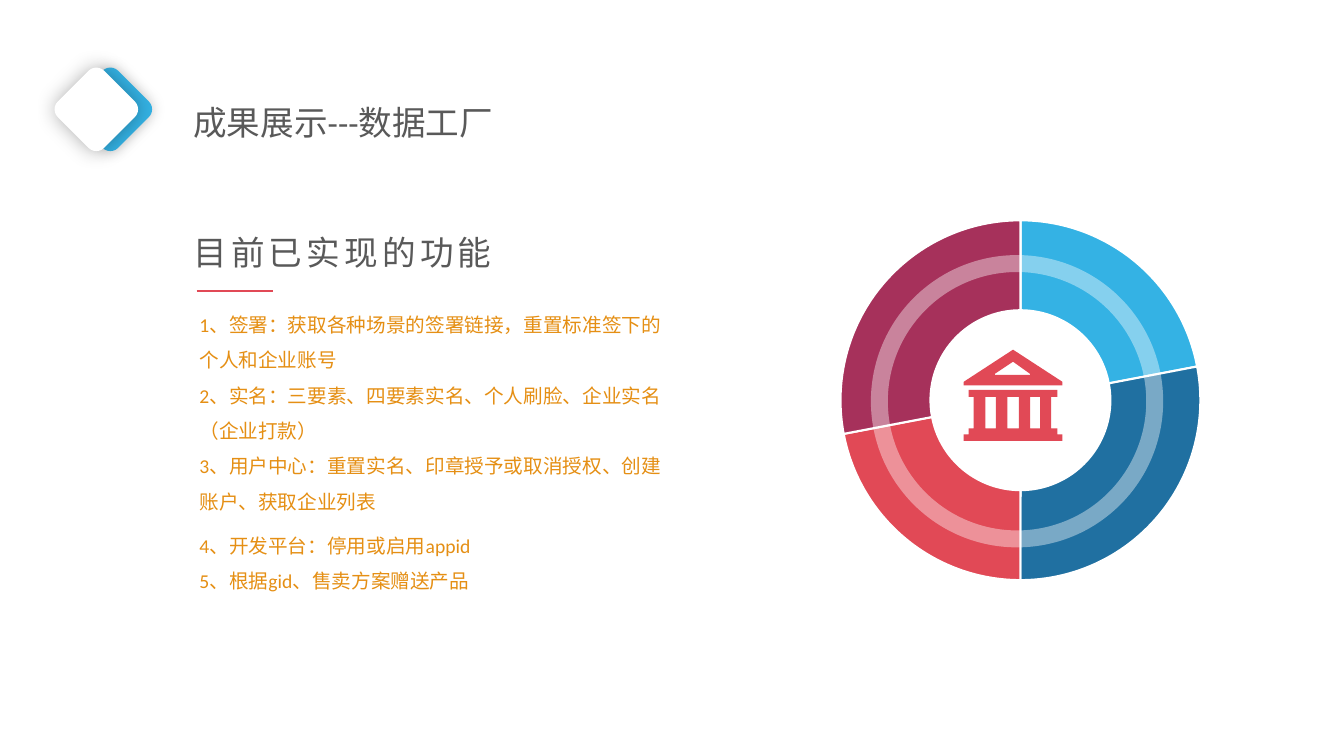
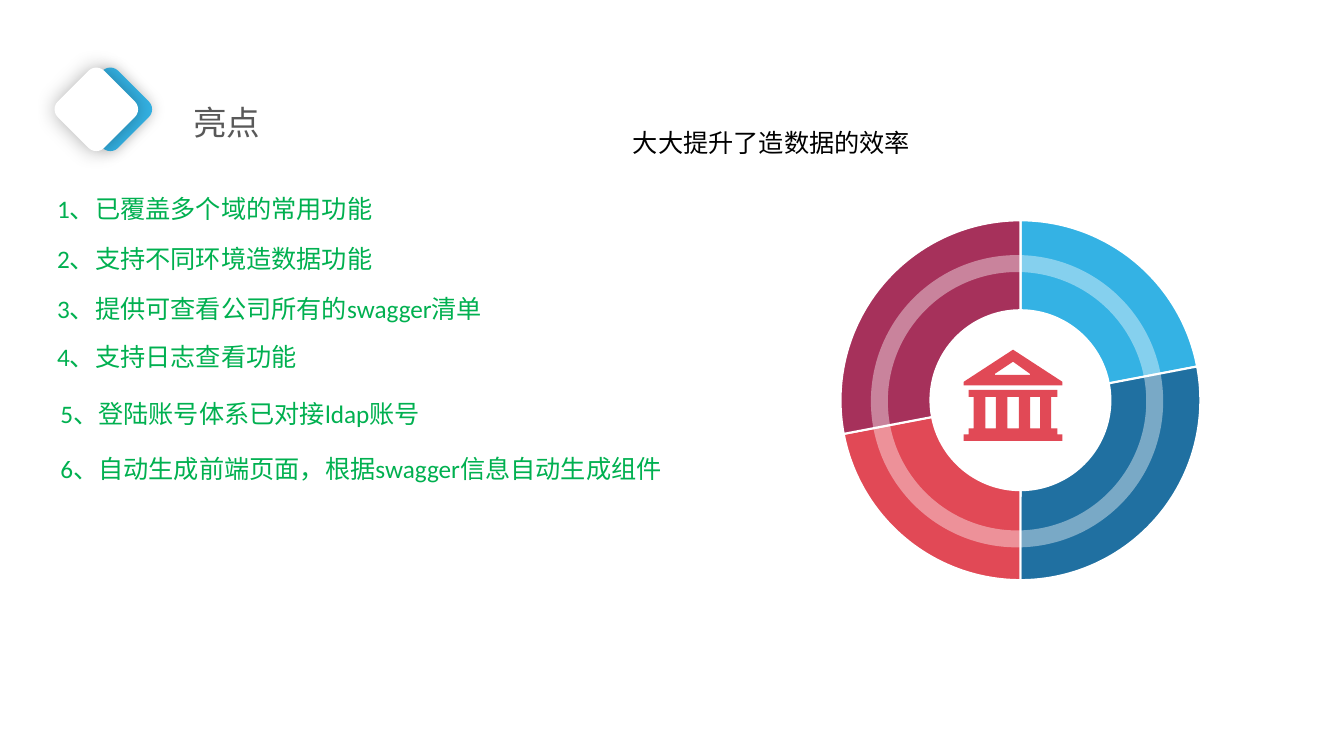
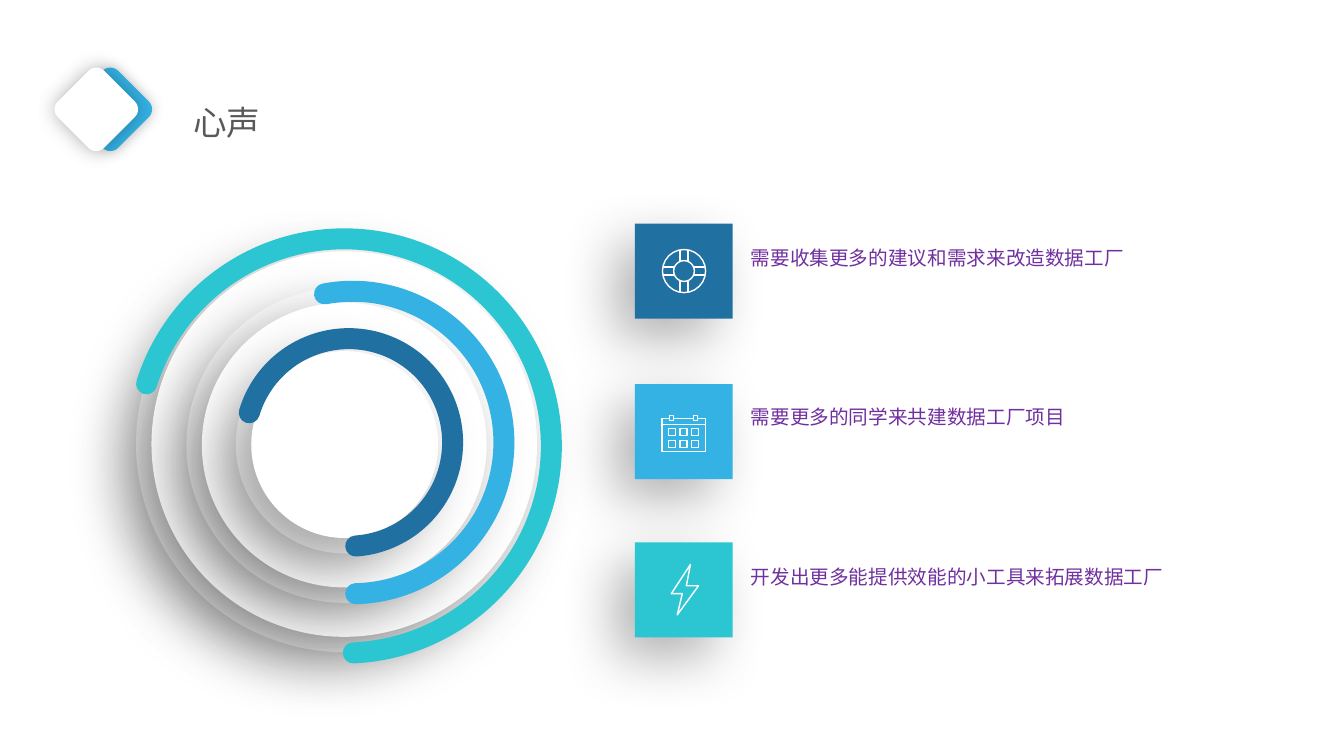
from dataclasses import dataclass
from typing import Any, Callable, Optional

from pptx import Presentation
from pptx.chart.data import CategoryChartData
from pptx.dml.color import RGBColor
from pptx.enum.chart import XL_CHART_TYPE
from pptx.enum.shapes import MSO_CONNECTOR, MSO_SHAPE
from pptx.enum.text import MSO_AUTO_SIZE
from pptx.oxml.ns import qn
from pptx.util import Pt
from lxml.etree import SubElement

FONT = "Calibri"
HUES = {
    "white": "FFFFFF", "black": "000000", "gray": "595959",
    "sky": "34B2E4", "blue": "2070A1", "red": "E14956", "plum": "A6315B",
    "teal": "2CC6D2", "gold": "E58F14", "green": "00B050", "grape": "7030A0",
}


@dataclass(frozen=True)
class Box:
    x: float
    y: float
    w: float
    h: float

    def pts(self) -> list[Any]:
        return [Pt(v) for v in (self.x, self.y, self.w, self.h)]


@dataclass(frozen=True)
class Style:
    size: float
    hue: str
    lead: Optional[float] = None
    track: int = 0
    wrap: bool = True


@dataclass(frozen=True)
class Shade:
    alpha: int
    blur: float
    dist: float = 0
    angle: int = 0


@dataclass(frozen=True)
class Arc:
    box: Box
    start: float
    end: float
    hue: str


@dataclass(frozen=True)
class Tile:
    top: float
    hue: str
    icon: Callable[[Any, float, float], None]
    text: str
    text_top: float


HEAD = Style(24, "gray", 1.5)
LEAD = Style(24, "gray", 1.5, track=300)
BODY = Style(14, "gold", 1.5)
ITEM = Style(18, "green")
NOTE = Style(18, "black", wrap=False)
VOICE = Style(14, "grape", 1.5)
DEEP = Shade(30, 40, 20, 135)


# Basic parts
def color(name: str) -> RGBColor:
    return RGBColor.from_string(HUES[name])


def paint(shape: Any, fill: Optional[str], line: Optional[str] = None,
          width: float = 1, alpha: int = 100, shade: Optional[Shade] = None) -> None:
    shape.shadow.inherit = False
    if fill:
        shape.fill.solid()
        shape.fill.fore_color.rgb = color(fill)
        if alpha < 100:
            tint = shape._element.spPr.find(qn("a:solidFill")).find(qn("a:srgbClr"))
            SubElement(tint, qn("a:alpha")).set("val", str(alpha * 1000))
    else:
        shape.fill.background()
    if line:
        shape.line.color.rgb = color(line)
        shape.line.width = Pt(width)
    else:
        shape.line.fill.background()
    if shade:
        cast = SubElement(shape._element.spPr.find(qn("a:effectLst")), qn("a:outerShdw"),
                          blurRad=str(Pt(shade.blur)), dist=str(Pt(shade.dist)),
                          dir=str(shade.angle * 60000), rotWithShape="0")
        ink = SubElement(cast, qn("a:srgbClr"), val=HUES["black"])
        SubElement(ink, qn("a:alpha"), val=str(shade.alpha * 1000))


def add_form(shapes: Any, kind: MSO_SHAPE, box: Box, fill: Optional[str], **look: Any) -> Any:
    shape = shapes.add_shape(kind, *box.pts())
    paint(shape, fill, **look)
    return shape


def add_line(shapes: Any, x1: float, y1: float, x2: float, y2: float,
             hue: str = "white", width: float = 1) -> None:
    line = shapes.add_connector(MSO_CONNECTOR.STRAIGHT, Pt(x1), Pt(y1), Pt(x2), Pt(y2))
    line.line.color.rgb = color(hue)
    line.line.width = Pt(width)
    SubElement(line._element.spPr, qn("a:effectLst"))


def add_free(shapes: Any, x: float, y: float, loops: list[list[tuple[float, float]]],
             close: bool = True) -> Any:
    loops = [[(Pt(x + a), Pt(y + b)) for a, b in loop] for loop in loops]
    pen = shapes.build_freeform(*loops[0][0])
    for i, loop in enumerate(loops):
        if i:
            pen.move_to(*loop[0])
        pen.add_line_segments(loop[1:], close=close)
    return pen.convert_to_shape()


def add_text(slide: Any, box: Box, lines: list[str], style: Style) -> None:
    frame = slide.shapes.add_textbox(*box.pts()).text_frame
    frame.word_wrap = style.wrap
    frame.auto_size = MSO_AUTO_SIZE.SHAPE_TO_FIT_TEXT
    for i, line in enumerate(lines):
        para = frame.add_paragraph() if i else frame.paragraphs[0]
        if style.lead:
            para.line_spacing = style.lead
        run = para.add_run()
        run.text = line
        run.font.name = FONT
        run.font.size = Pt(style.size)
        run.font.color.rgb = color(style.hue)
        if style.track:
            run._r.get_or_add_rPr().set("spc", str(style.track))


# Shared slide parts
def add_slide(deck: Any, title: str, width: float) -> Any:
    slide = deck.slides.add_slide(deck.slide_layouts[6])
    add_text(slide, Box(131, 54.7, width, 46), [title], HEAD)
    for x, hue, shade in ((55.4, "sky", Shade(20, 10)), (45.4, "white", Shade(30, 15))):
        gem = add_form(slide.shapes, MSO_SHAPE.ROUNDED_RECTANGLE,
                       Box(x, 54.7, 46.8, 46.8), hue, shade=shade)
        gem.rotation = 45
    return slide


def add_wheel(slide: Any) -> None:
    data = CategoryChartData()
    data.categories = ["1", "2", "3", "4"]
    data.add_series("Series 1", (22, 28, 22, 28))
    chart = slide.shapes.add_chart(XL_CHART_TYPE.DOUGHNUT,
                                   *Box(566.6, 146.2, 324.7, 279.4).pts(), data).chart
    chart.has_legend = chart.has_title = False
    chart.font.name = FONT
    chart.font.size = Pt(10)
    chart.font.color.rgb = color("black")
    plot = chart.plots[0]
    plot.vary_by_categories = True
    plot._element.find(qn("c:holeSize")).set("val", "75")
    for i, hue in enumerate(("sky", "blue", "red", "plum")):
        part = plot.series[0].points[i].format
        part.fill.solid()
        part.fill.fore_color.rgb = color(hue)
        part.line.color.rgb = color("white")
        part.line.width = Pt(1.5)
    # Plot place inside the chart frame
    area = chart._chartSpace.chart.plotArea
    for old in area.findall(qn("c:layout")):
        area.remove(old)
    lay = SubElement(area, qn("c:layout"))
    area.insert(0, lay)
    hand = SubElement(lay, qn("c:manualLayout"))
    for tag, val in (("layoutTarget", "inner"), ("xMode", "edge"), ("yMode", "edge"),
                     ("x", "0.1"), ("y", "0.04"), ("w", "0.8"), ("h", "0.92")):
        SubElement(hand, qn("c:" + tag), val=val)
    # Pale ring and bank icon
    ring = add_form(slide.shapes, MSO_SHAPE.DONUT,
                    Box(622.1, 182.2, 208.8, 208.8), "white", alpha=40)
    ring.adjustments[0] = 0.058
    base = [(67, 56.2), (62.6, 56.2), (62.6, 33.8), (67, 33.8), (67, 28.8), (3.6, 28.8),
            (3.6, 33.8), (7.2, 33.8), (7.2, 56.2), (3.6, 56.2), (3.6, 60.5), (0, 60.5),
            (0, 65.2), (70.6, 65.2), (70.6, 60.5), (67, 60.5)]
    gaps = [[(b, 56.2), (a, 56.2), (a, 33.8), (b, 33.8)]
            for a, b in ((15.5, 23), (31.2, 39.4), (47.5, 54.7))]
    roof = [(35.3, 0), (0, 23), (0, 25.5), (70.6, 25.5), (70.6, 23)]
    hole = [(47.5, 18), (22.3, 18), (22.3, 17.3), (35.3, 8.6), (47.5, 17.3)]
    paint(add_free(slide.shapes, 688.3, 249.8, [base, *gaps, roof, hole]), "red")


# Tile icons, placed from the corner of the tile
def draw_buoy(shapes: Any, x: float, y: float) -> None:
    x, y = x + 35, y + 33.8
    for r in (15.4, 7.4):
        add_form(shapes, MSO_SHAPE.OVAL, Box(x - r, y - r, 2 * r, 2 * r), None, line="white")
    for side in (-1, 1):
        for off in (-2.9, 2.9):
            add_line(shapes, x + off, y + side * 6.6, x + off, y + side * 15.1)
            add_line(shapes, x + side * 6.8, y + off, x + side * 15.1, y + off)


def draw_dates(shapes: Any, x: float, y: float) -> None:
    add_line(shapes, x + 27.4, y + 24.5, x + 41.8, y + 24.5)
    edge = [(24.5, 24.5), (19.4, 24.5), (19.4, 48.2), (50.4, 48.2), (50.4, 24.5), (44.6, 24.5)]
    paint(add_free(shapes, x, y, [edge], close=False), None, line="white")
    marks = [Box(x + a, y + 22.3, 2.9, 4) for a in (24.5, 41.8)]
    cells = [Box(x + 23.8 + 8.3 * col, y + 31.7 + 8.6 * row, 5, 5)
             for col in range(3) for row in range(2)]
    for box in marks + cells:
        add_form(shapes, MSO_SHAPE.RECTANGLE, box, None, line="white")
    add_line(shapes, x + 19.4, y + 28.8, x + 50.4, y + 28.8)


def draw_bolt(shapes: Any, x: float, y: float) -> None:
    edge = [(39.6, 15.8), (25.9, 36.7), (33.8, 36.7), (30.2, 51.8), (45.4, 31), (36.7, 31)]
    paint(add_free(shapes, x, y, [edge]), None, line="white")


TILES = [
    Tile(159.8, "blue", draw_buoy, "需要收集更多的建议和需求来改造数据工厂", 163.4),
    Tile(274.3, "sky", draw_dates, "需要更多的同学来共建数据工厂项目", 277.2),
    Tile(387.4, "teal", draw_bolt, "开发出更多能提供效能的小工具来拓展数据工厂", 391.7),
]
DISCS = [Box(97.2, 168.5, 297.4, 297.4), Box(133.2, 205.2, 225.4, 225.4),
         Box(168.5, 239.8, 155.5, 155.5)]
ARCS = [
    Arc(Box(97.9, 170.6, 295.9, 295.9), 197.45, 87.48, "teal"),
    Arc(Box(144, 208.1, 216, 216), 259.26, 88.87, "sky"),
    Arc(Box(175, 241.9, 148.3, 148.3), 196.61, 86.17, "blue"),
]
ITEMS = [
    (33.8, 134.6, "1、已覆盖多个域的常用功能"),
    (33.8, 170.6, "2、支持不同环境造数据功能"),
    (33.8, 205.9, "3、提供可查看公司所有的swagger清单"),
    (33.8, 240.5, "4、支持日志查看功能"),
    (36, 280.8, "5、登陆账号体系已对接ldap账号"),
    (36, 320.4, "6、自动生成前端页面，根据swagger信息自动生成组件"),
]


# Slides
def show_work(deck: Any) -> None:
    slide = add_slide(deck, "成果展示---数据工厂", 272.2)
    add_wheel(slide)
    add_text(slide, Box(135.4, 211.7, 357.1, 157), [
        "1、签署：获取各种场景的签署链接，重置标准签下的个人和企业账号",
        "2、实名：三要素、四要素实名、个人刷脸、企业实名（企业打款）",
        "3、用户中心：重置实名、印章授予或取消授权、创建账户、获取企业列表",
    ], BODY)
    add_text(slide, Box(131, 147.6, 262.1, 46), ["目前已实现的功能"], LEAD)
    add_line(slide.shapes, 140.4, 208.1, 195.1, 208.1, "red", 1.5)
    add_text(slide, Box(135.4, 369.4, 239.8, 55.4), [
        "4、开发平台：停用或启用appid",
        "5、根据gid、售卖方案赠送产品",
    ], BODY)


def show_highs(deck: Any) -> None:
    slide = add_slide(deck, "亮点", 218.2)
    add_wheel(slide)
    for x, y, text in ITEMS:
        add_text(slide, Box(x, y, 564.5, 28.8), [text], ITEM)
    add_text(slide, Box(445, 87.1, 212.4, 28.8), ["大大提升了造数据的效率"], NOTE)


def show_hopes(deck: Any) -> None:
    slide = add_slide(deck, "心声", 294.5)
    inset = 11
    for box in DISCS:
        size = box.w - 2 * inset
        add_form(slide.shapes, MSO_SHAPE.OVAL, box, "white", alpha=65, shade=DEEP)
        add_form(slide.shapes, MSO_SHAPE.OVAL,
                 Box(box.x + inset, box.y + inset, size, size), "white", shade=DEEP)
    for arc in ARCS:
        bow = add_form(slide.shapes, MSO_SHAPE.ARC, arc.box, None, line=arc.hue, width=15)
        # Arc angles count in 60000ths, the adjustments in 100000ths
        bow.adjustments[0] = arc.start * 0.6
        bow.adjustments[1] = arc.end * 0.6
        bow._element.spPr.find(qn("a:ln")).set("cap", "rnd")
    for tile in TILES:
        group = slide.shapes.add_group_shape().shapes
        add_form(group, MSO_SHAPE.RECTANGLE, Box(453.6, tile.top, 69.8, 67.9),
                 tile.hue, shade=DEEP)
        tile.icon(group, 453.6, tile.top)
        add_text(slide, Box(529.2, tile.text_top, 361.4, 30.2), [tile.text], VOICE)


def main() -> None:
    deck = Presentation()
    deck.slide_width, deck.slide_height = Pt(960), Pt(540)
    show_work(deck)
    show_highs(deck)
    show_hopes(deck)
    deck.save("out.pptx")


if __name__ == "__main__":
    main()
